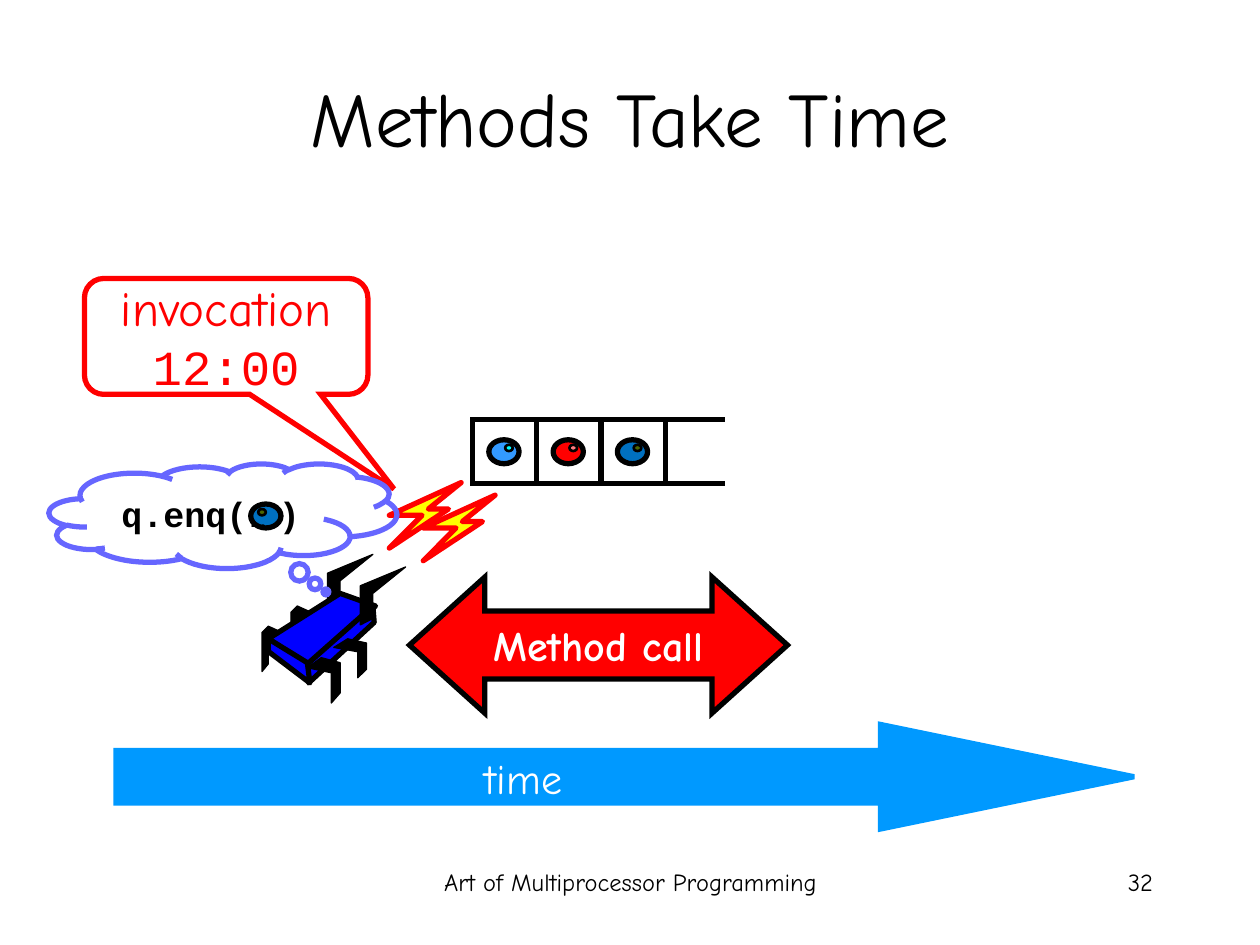
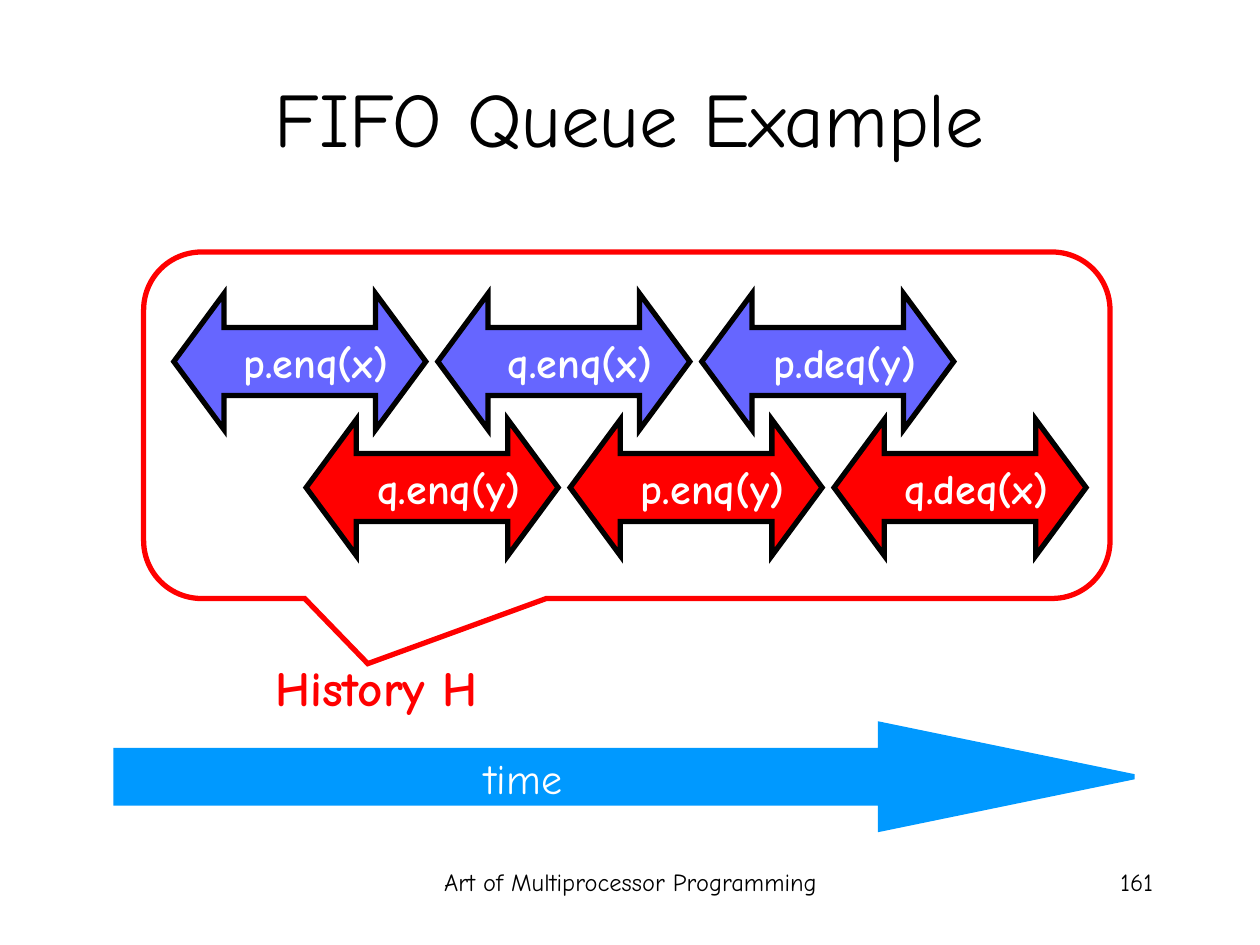
from lxml.etree import SubElement
from pptx import Presentation
from pptx.dml.color import RGBColor
from pptx.enum.shapes import MSO_CONNECTOR, MSO_SHAPE
from pptx.enum.text import MSO_ANCHOR, MSO_AUTO_SIZE, PP_ALIGN
from pptx.oxml.ns import qn
from pptx.util import Inches, Pt

HAND_FONT = "Comic Neue"
CODE_FONT = "Courier New"
BLACK, WHITE, RED = "000000", "FFFFFF", "FF0000"
VIOLET, TIME_BLUE, BODY_BLUE = "6666FF", "0099FF", "0000FF"
ITEM_BLUE, ITEM_SKY, BOLT_YELLOW = "0070C0", "3399FF", "FFFF00"
OLIVE, CYAN, PINK = "4C6600", "00FFFF", "FF7C80"

FOOTER = "Art of Multiprocessor Programming"
CELL = 0.51
QUEUE_LEFT, QUEUE_TOP = 3.75, 3.33
ARROW_STEP = 2.095

BOLT = [(0, 0.52), (0.26, 0.26), (0, 0.26), (0.57, 0), (0.31, 0.21), (0.47, 0.21)]
ANTENNA = [(0, 0.46), (0.1, 0.41), (0.1, 0.21), (0.36, 0), (0, 0.15)]
FRONT_LEG = [(0.16, 0.05), (0.05, 0), (0, 0.05), (0, 0.36),
             (0.05, 0.3), (0.05, 0.1), (0.16, 0.15)]
HIND_LEG = [(0.11, 0), (0, 0.08), (0.19, 0.12), (0.19, 0.36), (0.26, 0.28), (0.26, 0.04)]
BODY_FACES = [
    [(2.7, 4.71), (2.13, 5.07), (2.45, 5.28), (2.98, 4.81)],
    [(2.96, 4.81), (2.44, 5.27), (2.45, 5.42), (2.97, 4.94)],
    [(2.13, 5.07), (2.13, 5.17), (2.46, 5.42), (2.44, 5.26)],
]


def color(hex_value):
    return RGBColor.from_string(hex_value)


def paint(shape, fill, line, width):
    shape.shadow.inherit = False
    if fill:
        shape.fill.solid()
        shape.fill.fore_color.rgb = color(fill)
    else:
        shape.fill.background()
    shape.line.color.rgb = color(line)
    shape.line.width = Pt(width)


def format_run(run, size, hex_value, font=HAND_FONT, bold=False):
    run.font.name = font
    run.font.size = Pt(size)
    run.font.bold = bold
    run.font.color.rgb = color(hex_value)


def write(shape, text, size, hex_value, align, bold=False, wrap=True):
    frame = shape.text_frame
    frame.text = text
    frame.word_wrap = wrap
    paragraph = frame.paragraphs[0]
    paragraph.alignment = align
    format_run(paragraph.runs[0], size, hex_value, bold=bold)


def write_parts(shape, parts):
    frame = shape.text_frame
    frame.word_wrap = True
    frame.vertical_anchor = MSO_ANCHOR.MIDDLE
    paragraph = frame.paragraphs[0]
    paragraph.alignment = PP_ALIGN.CENTER
    for text, *style in parts:
        run = paragraph.add_run()
        run.text = text
        format_run(run, *style)


def add_preset(shapes, kind, box, fill, line, width=3, adjustments=()):
    shape = shapes.add_shape(kind, *map(Inches, box))
    for index, value in enumerate(adjustments):
        shape.adjustments[index] = value
    paint(shape, fill, line, width)
    if kind != MSO_SHAPE.OVAL:
        outline = shape._element.spPr.find(qn("a:ln"))
        SubElement(outline, qn("a:miter"), lim="800000")
    return shape


def add_label(shapes, box, text, size, hex_value, align, bold=False, wrap=True):
    label = shapes.add_textbox(*map(Inches, box))
    write(label, text, size, hex_value, align, bold, wrap)
    if not wrap:
        label.text_frame.auto_size = MSO_AUTO_SIZE.SHAPE_TO_FIT_TEXT


def add_outline(shapes, points, fill, line, width, left=0, top=0, stretch=1):
    placed = [(Inches(left + x), Inches(top + y * stretch)) for x, y in points]
    builder = shapes.build_freeform(*placed[0])
    builder.add_line_segments(placed[1:], close=True)
    paint(builder.convert_to_shape(), fill, line, width)


def add_item(shapes, left, top, fill, glint, glint_dx=0.13):
    add_preset(shapes, MSO_SHAPE.OVAL, (left, top, 0.24, 0.19), fill, BLACK)
    add_preset(shapes, MSO_SHAPE.OVAL, (left + glint_dx, top + 0.04, 0.06, 0.05),
               glint, BLACK, 1.5)


def add_rail(shapes, top):
    left = QUEUE_LEFT + 3 * CELL - 0.04
    rail = shapes.add_connector(MSO_CONNECTOR.STRAIGHT, Inches(left), Inches(top),
                                Inches(left + CELL), Inches(top))
    rail.line.color.rgb = color(BLACK)
    rail.line.width = Pt(3)
    SubElement(rail._element.spPr, qn("a:effectLst"))


def add_queue(slide):
    queue = slide.shapes.add_group_shape().shapes
    items = [(ITEM_SKY, CYAN), (RED, PINK), (ITEM_BLUE, OLIVE)]
    for position, (fill, glint) in enumerate(items):
        left = QUEUE_LEFT + position * CELL
        add_preset(queue, MSO_SHAPE.RECTANGLE, (left, QUEUE_TOP, CELL, CELL), None, BLACK)
        add_item(queue, left + 0.13, QUEUE_TOP + 0.16, fill, glint)
    for top in (QUEUE_TOP, QUEUE_TOP + CELL):
        add_rail(queue, top)


def add_thread(slide):
    thread = slide.shapes.add_group_shape().shapes
    invocation = add_preset(thread, MSO_SHAPE.ROUNDED_RECTANGULAR_CALLOUT,
                            (0.67, 2.21, 2.25, 0.92), None, RED,
                            adjustments=(0.592, 1.316, 0.167))
    write_parts(invocation, [("invocation ", 28, RED), ("12:00", 28, RED, CODE_FONT)])
    add_outline(thread, BOLT, BOLT_YELLOW, RED, 3, 3.09, 3.83)
    add_outline(thread, ANTENNA, BLACK, BLACK, 0.75, 2.6, 4.4)
    for left, top in ((2.08, 4.97), (2.31, 4.81)):
        add_outline(thread, FRONT_LEG, BLACK, BLACK, 0.75, left, top)
    for face in BODY_FACES:
        add_outline(thread, face, BODY_BLUE, BLACK, 3)
    for left, top, stretch in ((2.44, 5.22, 1), (2.65, 5.07, 0.86)):
        add_outline(thread, HIND_LEG, BLACK, BLACK, 0.75, left, top, stretch)
    add_outline(thread, ANTENNA, BLACK, BLACK, 0.75, 2.86, 4.5)
    add_outline(thread, BOLT, BOLT_YELLOW, RED, 3, 3.36, 3.93)
    add_item(thread, 1.99, 4, ITEM_BLUE, OLIVE, 0.06)


def add_thought(slide):
    thought = add_preset(slide.shapes, MSO_SHAPE.CLOUD_CALLOUT, (0.39, 3.68, 2.76, 0.83),
                         None, VIOLET, adjustments=(0.296, 0.727))
    write_parts(thought, [(text, size, BLACK, CODE_FONT, True)
                          for text, size in (("q.enq(", 20), ("...", 10), (")", 20))])


def add_call(slide, box, text, fill, head, align):
    call = add_preset(slide.shapes, MSO_SHAPE.LEFT_RIGHT_ARROW, box, fill, BLACK,
                      adjustments=(0.5, head))
    write(call, text, 24, WHITE, align, bold=True, wrap=False)
    call.text_frame.vertical_anchor = MSO_ANCHOR.MIDDLE


def add_call_row(slide, left, top, calls, fill):
    for position, text in enumerate(calls):
        box = (left + position * ARROW_STEP, top, 2, 1.08)
        add_call(slide, box, text, fill, 0.369, PP_ALIGN.RIGHT)


def add_timeline(slide):
    timeline = slide.shapes.add_group_shape().shapes
    add_preset(timeline, MSO_SHAPE.RIGHT_ARROW, (0.92, 5.75, 8.08, 0.83),
               TIME_BLUE, TIME_BLUE, adjustments=(0.5, 2.425))
    add_label(timeline, (3.67, 5.92, 0.89, 0.5), "time", 24, WHITE,
              PP_ALIGN.RIGHT, wrap=False)


def add_slide(deck, heading, number):
    slide = deck.slides.add_slide(deck.slide_layouts[5])
    title = slide.shapes.title
    title.left, title.top, title.width, title.height = map(Inches, (0.5, 0.3, 9, 1.25))
    write(title, heading, 44, BLACK, PP_ALIGN.CENTER)
    title.text_frame.vertical_anchor = MSO_ANCHOR.MIDDLE
    title.text_frame.auto_size = MSO_AUTO_SIZE.NONE
    add_label(slide.shapes, (3.42, 6.83, 3.17, 0.5), FOOTER, 14, BLACK, PP_ALIGN.CENTER)
    add_label(slide.shapes, (7.17, 6.83, 2.08, 0.5), number, 14, BLACK, PP_ALIGN.RIGHT)
    return slide


def build_method_slide(deck):
    slide = add_slide(deck, "Methods Take Time", "32")
    add_queue(slide)
    add_call(slide, (3.25, 4.58, 3, 1.08), "Method call", RED, 0.554, PP_ALIGN.CENTER)
    add_thread(slide)
    add_timeline(slide)
    add_thought(slide)


def build_history_slide(deck):
    slide = add_slide(deck, "FIFO Queue Example", "161")
    add_call_row(slide, 1.38, 2.33, ("p.enq(x)", "q.enq(x)", "p.deq(y)"), VIOLET)
    add_call_row(slide, 2.43, 3.33, ("q.enq(y)", "p.enq(y)", "q.deq(x)"), RED)
    add_preset(slide.shapes, MSO_SHAPE.ROUNDED_RECTANGULAR_CALLOUT, (1.14, 2, 7.67, 2.75),
               None, RED, adjustments=(-0.268, 0.688, 0.167))
    add_label(slide.shapes, (1.83, 5.17, 2.06, 0.57), "History H", 28, RED,
              PP_ALIGN.RIGHT, bold=True, wrap=False)
    add_timeline(slide)


def main():
    deck = Presentation()
    deck.slide_width, deck.slide_height = Inches(10), Inches(7.5)
    build_method_slide(deck)
    build_history_slide(deck)
    deck.save("out.pptx")


if __name__ == "__main__":
    main()
